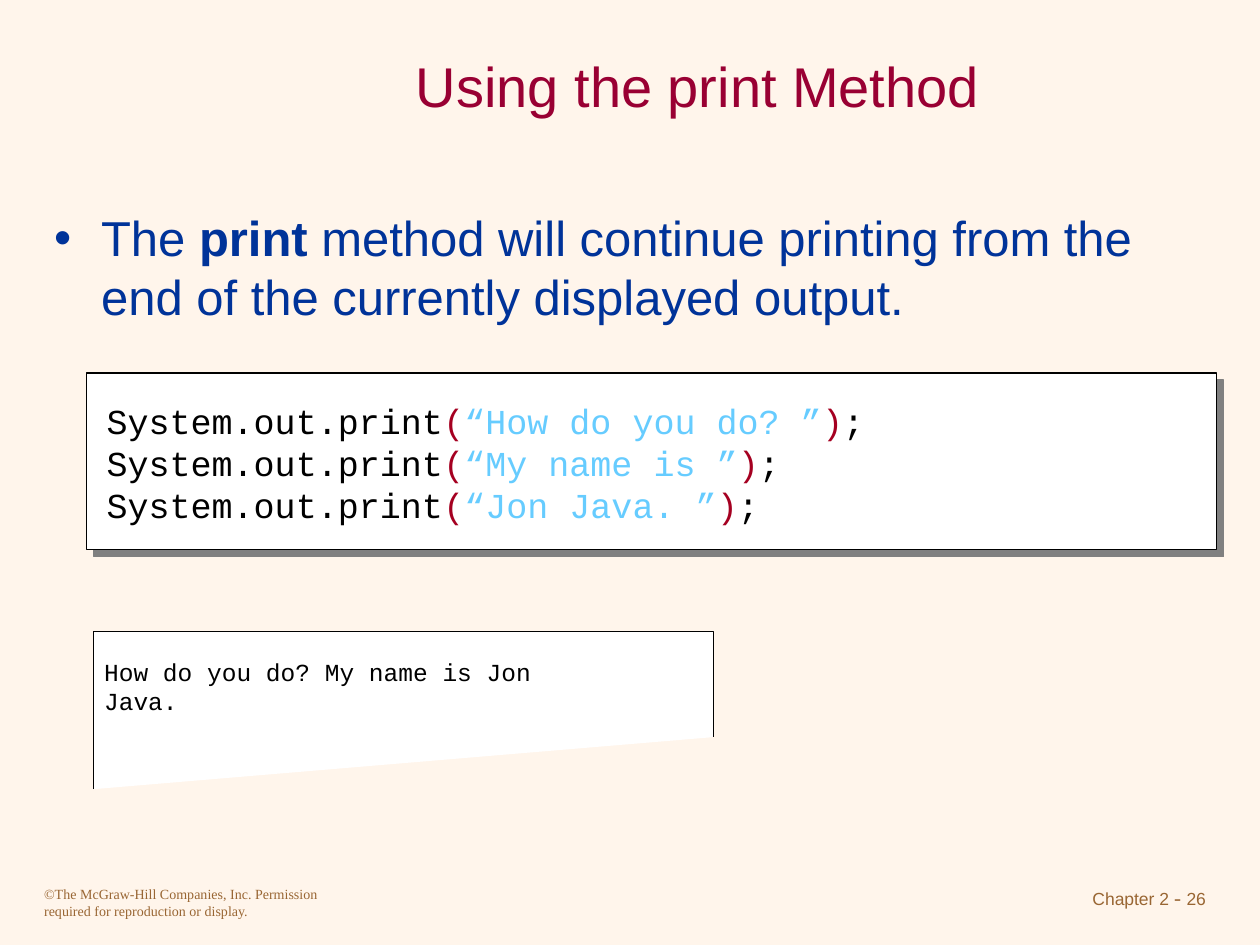
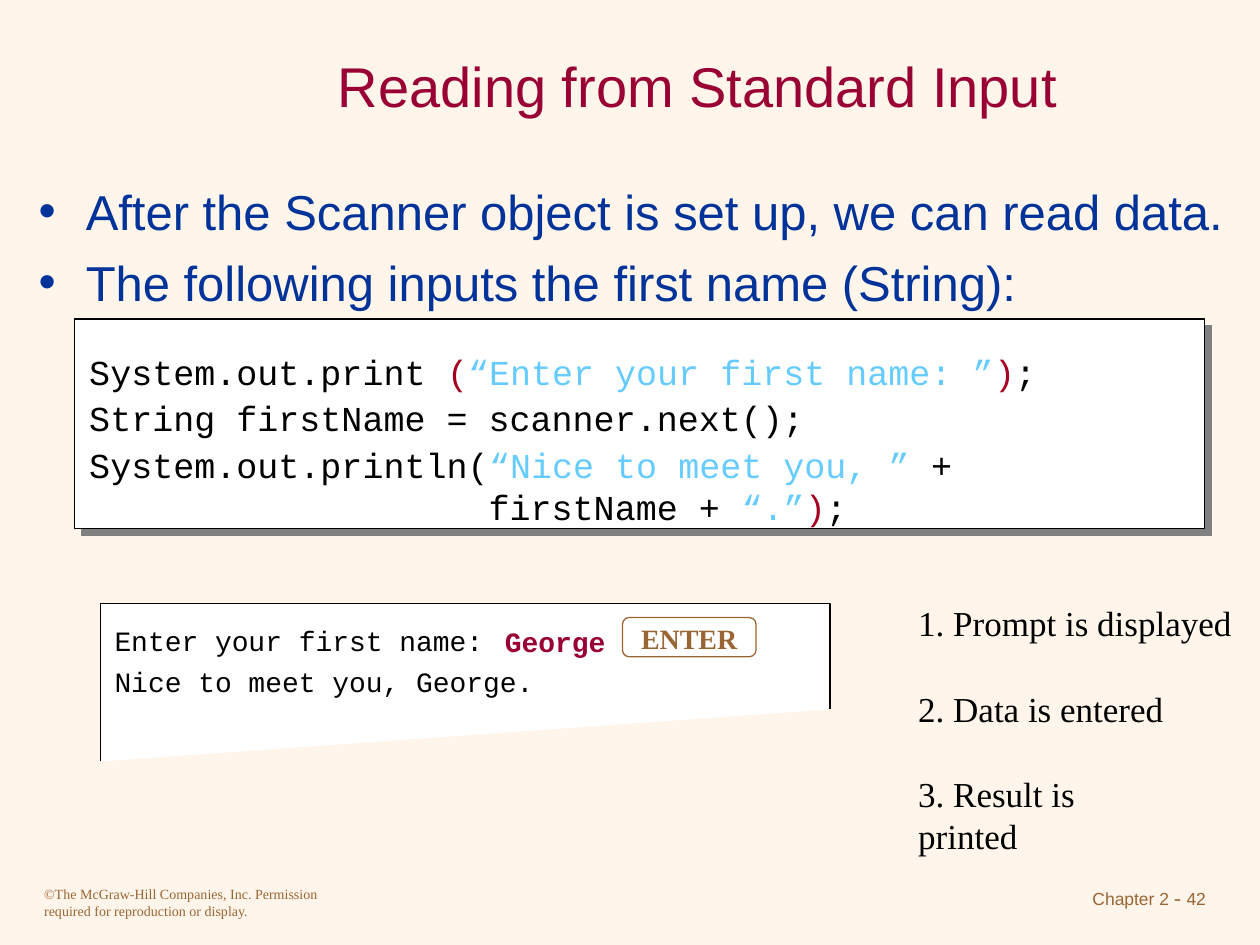
from dataclasses import dataclass

from lxml.etree import SubElement
from pptx import Presentation
from pptx.dml.color import RGBColor
from pptx.enum.shapes import MSO_SHAPE
from pptx.enum.text import MSO_ANCHOR, MSO_AUTO_SIZE, PP_ALIGN
from pptx.oxml.ns import qn
from pptx.util import Cm, Pt


# Theme: colours, fonts and type sizes
@dataclass(frozen=True)
class Theme:
    paper: str = "FFF5EB"
    panel: str = "FFFFFF"
    ink: str = "000000"
    title: str = "990033"
    body: str = "003399"
    brown: str = "996633"
    bracket: str = "A50021"
    string: str = "66CCFF"
    shadow: str = "808080"
    sans: str = "Arial"
    serif: str = "Times New Roman"
    mono: str = "Courier New"
    leading: float = 1.2


THEME = Theme()
STYLES = {
    "title": dict(name=THEME.sans, size=32, color=THEME.title),
    "body": dict(name=THEME.sans, size=28, color=THEME.body),
    "code": dict(name=THEME.mono, size=20, color=THEME.ink),
    "output": dict(name=THEME.mono, size=14, color=THEME.ink),
    "console": dict(name=THEME.mono, size=16, color=THEME.ink),
    "typed": dict(name=THEME.mono, size=16, color=THEME.title, bold=True),
    "key": dict(name=THEME.serif, size=16, color=THEME.brown, bold=True),
    "step": dict(name=THEME.serif, size=20, color=THEME.ink),
    "copyright": dict(name=THEME.serif, size=8, color=THEME.brown),
    "chapter": dict(name=THEME.sans, size=10, color=THEME.brown),
}
STRONG = dict(bold=True)
DASH = dict(name=THEME.serif, size=12)
BRACKET = dict(color=THEME.bracket)
STRING = dict(color=THEME.string)


def print_call(quoted):
    return ["System.out.print", ("(", BRACKET), (quoted, STRING), (")", BRACKET), ";"]


# Content: a paragraph is a list of spans, a span is text or (text, changes);
# places are (left, top, width, height) in centimetres
COPYRIGHT = "©The McGraw-Hill Companies, Inc. Permission required for reproduction or display."
SLIDES = [
    dict(
        title="Using the print Method",
        number="26",
        body_at=(0.84, 4.01, 23.7, 3.61),
        body=[["The ", ("print", STRONG),
               " method will continue printing from the end of the currently displayed output."]],
        code_panel=(1.75, 7.52, 22.78, 3.56),
        code=[((1.9, 7.87, 22.2, 2.79),
               [print_call("“How do you do? ”"),
                print_call("“My name is ”"),
                print_call("“Jon Java. ”")])],
        window=(1.88, 12.73, 12.5, 3.18),
        labels=[("output", (1.85, 13.06, 10.9, 0.86), "How do you do? My name is Jon Java.")],
    ),
    dict(
        title="Reading from Standard Input",
        number="42",
        body_at=(0.53, 3.48, 24.87, 3.02),
        body=[["After the Scanner object is set up, we can read data."],
              ["The following inputs the first name (String):"]],
        code_panel=(1.5, 6.43, 22.78, 4.22),
        code=[((1.55, 6.88, 22.2, 1.12),
               [["System.out.print ", ("(", BRACKET),
                 ("“Enter your first name: ”", STRING), (")", BRACKET), ";"]]),
              ((1.55, 7.82, 22.2, 1.12), [["String firstName = scanner.next();"]]),
              ((1.55, 8.76, 22.2, 1.96),
               [["System.out.println(", ("“Nice to meet you, ” ", STRING), "+"],
                ["                   firstName +", (" “.”", STRING), (")", BRACKET), ";"]])],
        window=(2.03, 12.17, 14.7, 3.18),
        labels=[("console", (2.06, 12.4, 8.28, 0.94), "Enter your first name:"),
                ("typed", (9.93, 12.42, 2.87, 0.94), "George"),
                ("console", (2.06, 13.21, 9.3, 0.94), "Nice to meet you, George.")],
        key=((12.55, 12.45, 2.69, 0.79), "ENTER"),
        steps=[("1. Prompt is displayed", 6.83),
               ("2. Data is entered", 5.46),
               ("3. Result is printed", 5.84)],
    ),
]
TITLE_AT = (3.81, 0.64, 20.52, 2.11)
COPYRIGHT_AT = (0.64, 17.35, 6.35, 1.27)
CHAPTER_AT = (19.05, 17.35, 5.51, 1.27)
STEPS_LEFT, STEPS_TOP, STEP_PITCH, STEP_HEIGHT = 18.26, 11.94, 1.73, 1.12
WINDOW_RIGHT_SHARE = 0.67
HANGING = Cm(0.95)


def lengths(place):
    return [Cm(value) for value in place]


def color(code):
    return RGBColor.from_string(code)


# Text
def set_font(font, values):
    for name, value in values.items():
        if name == "color":
            font.color.rgb = color(value)
        else:
            setattr(font, name, Pt(value) if name == "size" else value)


def add_bullet(para):
    props = para._p.get_or_add_pPr()
    props.set("marL", str(HANGING))
    props.set("indent", str(-HANGING))
    tint = SubElement(props, qn("a:buClr"))
    SubElement(tint, qn("a:srgbClr"), val=THEME.body)
    SubElement(props, qn("a:buFont"), typeface=THEME.sans)
    SubElement(props, qn("a:buChar"), char="•")


def write(box, paras, style, align=PP_ALIGN.LEFT, bullets=False, spaced=True, **frame_format):
    frame = box.text_frame
    settings = dict(word_wrap=True, margin_left=Cm(0.25), margin_right=Cm(0.25),
                    margin_top=Cm(0.18), margin_bottom=Cm(0.13))
    settings.update(frame_format)
    for name, value in settings.items():
        setattr(frame, name, value)
    base = STYLES[style]
    for index, spans in enumerate(paras):
        para = frame.add_paragraph() if index else frame.paragraphs[0]
        if bullets:
            add_bullet(para)
            if index:
                para.space_before = Pt(7)
        para.alignment = align
        if spaced:
            para.line_spacing = Pt(base["size"] * THEME.leading)
        for item in spans:
            text, changes = (item, {}) if isinstance(item, str) else item
            span = para.add_run()
            span.text = text
            set_font(span.font, {**base, **changes})


def add_text(page, place, paras, style, **options):
    write(page.shapes.add_textbox(*lengths(place)), paras, style, **options)


def add_label(page, place, text, style):
    add_text(page, place, [[text]], style, word_wrap=False,
             auto_size=MSO_AUTO_SIZE.SHAPE_TO_FIT_TEXT)


# Shapes
def paint(shape, outline):
    shape.shadow.inherit = False
    shape.fill.solid()
    shape.fill.fore_color.rgb = color(THEME.panel)
    shape.line.color.rgb = color(outline)
    shape.line.width = Pt(0.75)


def add_code_panel(page, place):
    panel = page.shapes.add_shape(MSO_SHAPE.RECTANGLE, *lengths(place))
    paint(panel, THEME.ink)
    effects = panel._element.spPr.find(qn("a:effectLst"))
    shadow = SubElement(effects, qn("a:outerShdw"), blurRad="0", dist=str(Pt(5.7)),
                        dir="2700000", algn="ctr", rotWithShape="0")
    SubElement(shadow, qn("a:srgbClr"), val=THEME.shadow)


def add_window(page, place):
    left, top, width, height = lengths(place)
    right = left + width
    outline = page.shapes.build_freeform(left, top + height)
    outline.add_line_segments(
        [(left, top), (right, top), (right, top + int(height * WINDOW_RIGHT_SHARE))],
        close=False)
    paint(outline.convert_to_shape(), THEME.ink)


def add_key(page, place, text):
    key = page.shapes.add_shape(MSO_SHAPE.ROUNDED_RECTANGLE, *lengths(place))
    paint(key, THEME.brown)
    write(key, [[text]], "key", align=PP_ALIGN.CENTER, word_wrap=False,
          vertical_anchor=MSO_ANCHOR.MIDDLE)


# Parts shared by all slides
def add_page(deck, title, number):
    page = deck.slides.add_slide(deck.slide_layouts[6])
    page.background.fill.solid()
    page.background.fill.fore_color.rgb = color(THEME.paper)
    add_text(page, COPYRIGHT_AT, [[COPYRIGHT]], "copyright", spaced=False,
             margin_top=Cm(0.5))
    add_text(page, CHAPTER_AT, [["Chapter 2", (" - ", DASH), number]], "chapter",
             spaced=False, align=PP_ALIGN.RIGHT, margin_top=Cm(0.6))
    add_text(page, TITLE_AT, [[title]], "title", align=PP_ALIGN.CENTER,
             vertical_anchor=MSO_ANCHOR.MIDDLE)
    return page


def build_slide(deck, content):
    page = add_page(deck, content["title"], content["number"])
    add_text(page, content["body_at"], content["body"], "body", bullets=True)
    # Source code
    add_code_panel(page, content["code_panel"])
    for place, lines in content["code"]:
        add_text(page, place, lines, "code")
    # Console window
    add_window(page, content["window"])
    if "key" in content:
        add_key(page, *content["key"])
    for style, place, text in content["labels"]:
        add_label(page, place, text, style)
    # Numbered steps
    for index, (text, width) in enumerate(content.get("steps", [])):
        top = STEPS_TOP + index * STEP_PITCH
        add_label(page, (STEPS_LEFT, top, width, STEP_HEIGHT), text, "step")


def main():
    deck = Presentation()
    deck.slide_width, deck.slide_height = Cm(25.4), Cm(19.05)
    for content in SLIDES:
        build_slide(deck, content)
    deck.save("out.pptx")


if __name__ == "__main__":
    main()
